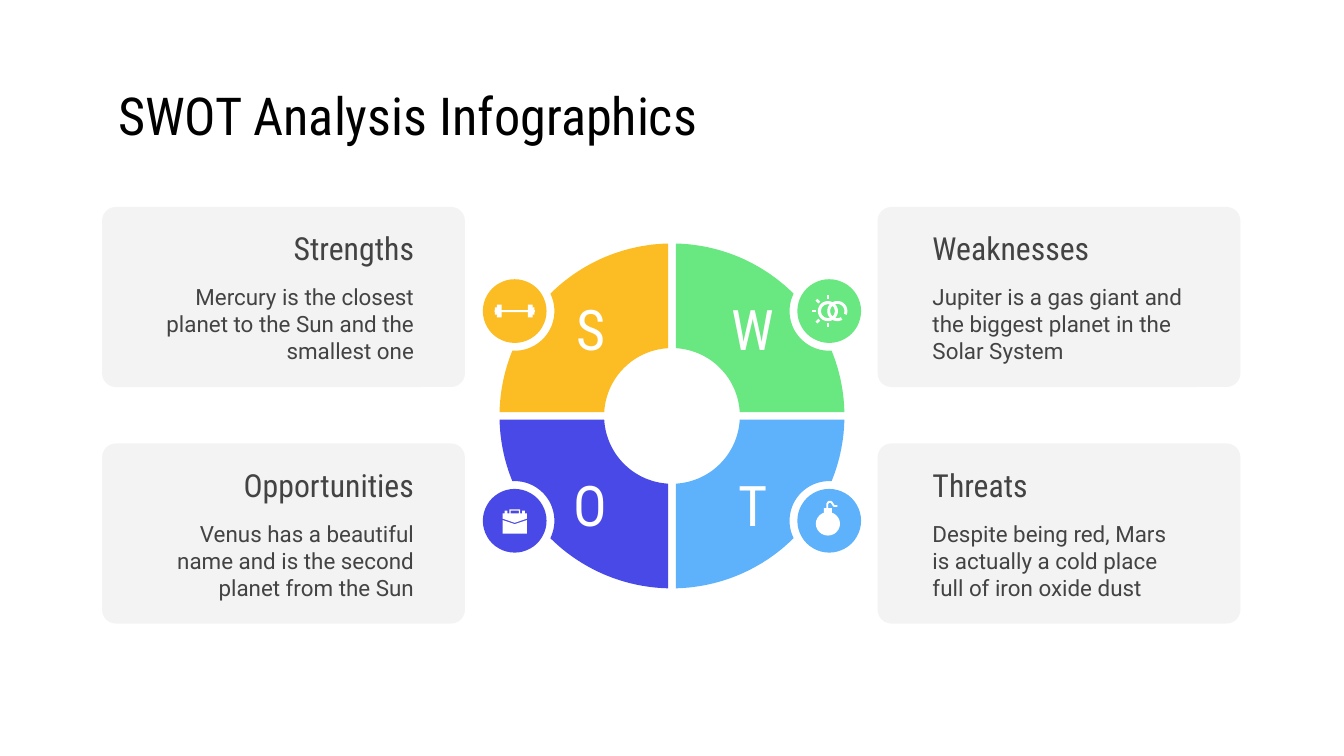
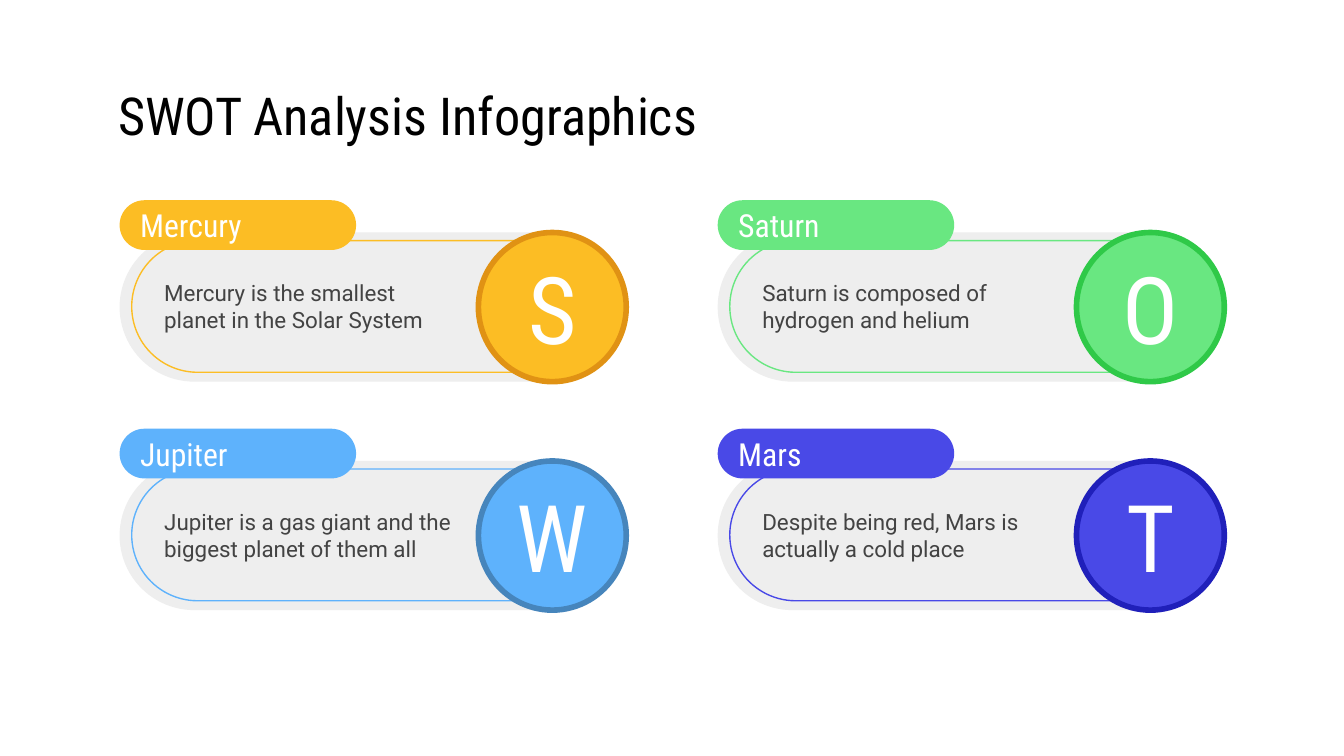
from dataclasses import dataclass
from math import acos, atan2, cos, degrees, hypot, radians, sin, asin

from lxml.etree import SubElement
from pptx import Presentation
from pptx.dml.color import RGBColor
from pptx.enum.shapes import MSO_CONNECTOR, MSO_SHAPE
from pptx.enum.text import MSO_ANCHOR, PP_ALIGN
from pptx.oxml.ns import qn
from pptx.util import Inches, Pt


@dataclass(frozen=True)
class Theme:
    head: str = "Roboto Condensed"
    body: str = "Roboto"
    black: str = "000000"
    white: str = "FFFFFF"
    ink: str = "434343"
    card: str = "F3F3F3"
    pill: str = "EEEEEE"
    yellow: str = "FCBD24"
    green: str = "69E781"
    blue: str = "5EB2FC"
    indigo: str = "4949E7"
    yellow_dark: str = "E09214"
    green_dark: str = "2FC948"
    blue_dark: str = "4685BC"
    indigo_dark: str = "2020BA"
    title_pt: int = 28
    name_pt: int = 17
    text_pt: int = 12
    letter_pt: int = 30
    big_letter_pt: int = 50


T = Theme()
L, C, R = PP_ALIGN.LEFT, PP_ALIGN.CENTER, PP_ALIGN.RIGHT

prs = Presentation()
prs.slide_width = Inches(10)
prs.slide_height = Inches(10 * 9 / 16)
CELL = prs.slide_width / 100


def add(s, kind, box, text="", *, fill=None, line=None, line_pt=0.75, adj=None,
        font=T.body, size=T.text_pt, color=T.ink, align=L, left=1, right=1):
    if isinstance(kind, list):
        outlines = [[(x * CELL, y * CELL) for x, y in pts] for pts in kind]
        fb = s.shapes.build_freeform(*outlines[0][0], scale=1.0)
        for i, pts in enumerate(outlines):
            if i:
                fb.move_to(*pts[0])
            fb.add_line_segments(pts[1:], close=bool(fill))
        sp = fb.convert_to_shape()
    else:
        box = [round(v * CELL) for v in box]
        sp = s.shapes.add_textbox(*box) if kind is None else s.shapes.add_shape(kind, *box)
    if kind is not None:
        sp.shadow.inherit = False
        if adj is not None:
            sp.adjustments[0] = adj
        if fill:
            sp.fill.solid()
            sp.fill.fore_color.rgb = RGBColor.from_string(fill)
        else:
            sp.fill.background()
        if line:
            sp.line.color.rgb = RGBColor.from_string(line)
            sp.line.width = Pt(line_pt)
        else:
            sp.line.fill.background()
    if text:
        tf = sp.text_frame
        tf.word_wrap = True
        tf.vertical_anchor = MSO_ANCHOR.MIDDLE
        tf.margin_left, tf.margin_right = round(left * CELL), round(right * CELL)
        tf.margin_top = tf.margin_bottom = round(CELL)
        p = tf.paragraphs[0]
        p.alignment = align
        r = p.add_run()
        r.text = text
        r.font.name = font
        r.font.size = Pt(size)
        r.font.color.rgb = RGBColor.from_string(color)
    return sp


def arc(cx, cy, radius, start, end, steps=30):
    angles = [radians(start + (end - start) * i / steps) for i in range(steps + 1)]
    return [(cx + radius * cos(a), cy + radius * sin(a)) for a in angles]


slides = []
for _ in range(2):
    s = prs.slides.add_slide(prs.slide_layouts[6])
    add(s, None, (7.8, 5.9, 84.5, 5.3), "SWOT Analysis Infographics",
        font=T.head, size=T.title_pt, color=T.black)
    slides.append(s)
wheel, pills = slides

CX, CY = 50, 30.95
OUTER, INNER, GAP = 12.83, 5.05, 0.28
DX, DY, BADGE, NOTCH = 11.7, 7.8, 2.37, 2.95
reach, aim = hypot(DX, DY), degrees(atan2(DY, DX))
cut = degrees(acos((OUTER**2 + reach**2 - NOTCH**2) / (2 * OUTER * reach)))
bite = degrees(acos((NOTCH**2 + reach**2 - OUTER**2) / (2 * NOTCH * reach)))
edge_out, edge_in = degrees(asin(GAP / OUTER)), degrees(asin(GAP / INNER))
quarter = (arc(0, 0, OUTER, edge_out, aim - cut)
           + arc(DX, DY, NOTCH, 180 + aim + bite, 180 + aim - bite)
           + arc(0, 0, OUTER, aim + cut, 90 - edge_out)
           + arc(0, 0, INNER, 90 - edge_in, edge_in))

swot = [
    (-1, -1, "S", T.yellow, "Strengths",
     "Mercury is the closest planet to the Sun and the smallest one"),
    (1, -1, "W", T.green, "Weaknesses",
     "Jupiter is a gas giant and the biggest planet in the Solar System"),
    (-1, 1, "O", T.indigo, "Opportunities",
     "Venus has a beautiful name and is the second planet from the Sun"),
    (1, 1, "T", T.blue, "Threats",
     "Despite being red, Mars is actually a cold place full of iron oxide dust"),
]
for sx, sy, letter, color, name, text in swot:
    card_x, text_x, align = (7.6, 11.2, R) if sx < 0 else (65.3, 68.4, L)
    top = 15.4 if sy < 0 else 33
    add(wheel, [[(CX + sx * x, CY + sy * y) for x, y in quarter]], None, letter,
        fill=color, font=T.head, size=T.letter_pt, color=T.white, align=C,
        left=1.5 - sx / 2, right=1.5 + sx / 2)
    add(wheel, MSO_SHAPE.OVAL,
        (CX + sx * DX - BADGE, CY + sy * DY - BADGE, 2 * BADGE, 2 * BADGE), fill=color)
    add(wheel, MSO_SHAPE.ROUNDED_RECTANGLE, (card_x, top, 27, 13.4), fill=T.card, adj=0.077)
    add(wheel, None, (text_x, top + 0.7, 20.6, 4.7), name,
        font=T.head, size=T.name_pt, align=align)
    add(wheel, None, (text_x, top + 4.5, 20.6, 8.4), text, align=align)

x, y = CX - DX, CY - DY
for dx, w, h in [(0, 3, 0.15), (-1.15, 0.35, 0.95), (1.15, 0.35, 0.95),
                 (-1.35, 0.25, 0.55), (1.35, 0.25, 0.55)]:
    add(wheel, MSO_SHAPE.RECTANGLE, (x + dx - w / 2, y - h / 2, w, h), fill=T.white)

x = CX + DX
add(wheel, MSO_SHAPE.DONUT, (x - 0.85, y - 0.75, 1.5, 1.5), fill=T.white, adj=0.15)
add(wheel, [arc(x + 0.6, y, 0.75, 60, 382) + arc(x + 0.6, y, 0.53, 382, 60)], None,
    fill=T.white)
for angle in range(90, 271, 45):
    ux, uy = cos(radians(angle)), sin(radians(angle))
    ends = [round(v * CELL) for d in (0.9, 1.2) for v in (x - 0.1 + d * ux, y + d * uy)]
    ray = wheel.shapes.add_connector(MSO_CONNECTOR.STRAIGHT, *ends)
    ray.line.color.rgb = RGBColor.from_string(T.white)
    ray.line.width = Pt(1.4)
    SubElement(ray.element.spPr, qn("a:effectLst"))

x, y = CX - DX, CY + DY
lid = [(-0.9, -0.15), (-0.9, -0.55), (-0.75, -0.55), (-0.75, -0.75), (-0.55, -0.75),
       (-0.55, -0.55), (-0.4, -0.55), (-0.4, -0.85)]
lid += [(-dx, dy) for dx, dy in reversed(lid)] + [(0, 0.15)]
handle = [(-0.3, -0.75), (0.3, -0.75), (0.3, -0.55), (-0.3, -0.55)]
case = [(-0.9, -0.05), (0, 0.25), (0.9, -0.05), (0.9, 0.95), (-0.9, 0.95)]
for outlines in [[lid, handle], [case]]:
    add(wheel, [[(x + dx, y + dy) for dx, dy in pts] for pts in outlines], None, fill=T.white)

x = CX + DX
fuse = [(-0.15, -0.95), (-0.15, -1.25), (-0.05, -1.4), (0.15, -1.4), (0.25, -1.25),
        (0.35, -1.1), (0.6, -1.1)]
add(wheel, MSO_SHAPE.OVAL, (x - 1, y - 0.65, 1.8, 1.75), fill=T.white)
add(wheel, MSO_SHAPE.RECTANGLE, (x - 0.4, y - 0.95, 0.6, 0.5), fill=T.white)
add(wheel, [[(x + dx, y + dy) for dx, dy in fuse]], None, line=T.white, line_pt=1)

planets = [
    ("S", "Mercury", T.yellow, T.yellow_dark,
     "Mercury is the smallest planet in the Solar System"),
    ("W", "Jupiter", T.blue, T.blue_dark,
     "Jupiter is a gas giant and the biggest planet of them all"),
    ("O", "Saturn", T.green, T.green_dark,
     "Saturn is composed of hydrogen and helium"),
    ("T", "Mars", T.indigo, T.indigo_dark,
     "Despite being red, Mars is actually a cold place"),
]
for i, (letter, name, color, dark, text) in enumerate(planets):
    x, y = 8.9 + 44.5 * (i // 2), 14.9 + 17 * (i % 2)
    add(pills, MSO_SHAPE.ROUNDED_RECTANGLE, (x, y + 2.4, 37.7, 11.1), fill=T.pill, adj=0.5)
    add(pills, MSO_SHAPE.ROUNDED_RECTANGLE, (x + 0.9, y + 3, 35.9, 9.8), text,
        line=color, adj=0.5, right=10)
    add(pills, MSO_SHAPE.OVAL, (x + 26.7, y + 2.4, 11, 11.1), letter, fill=color, line=dark,
        line_pt=3, font=T.head, size=T.big_letter_pt, color=T.white, align=C)
    add(pills, MSO_SHAPE.ROUNDED_RECTANGLE, (x, y, 17.6, 3.7), name, fill=color, adj=0.5,
        font=T.head, size=T.name_pt, color=T.white)

prs.save("out.pptx")
